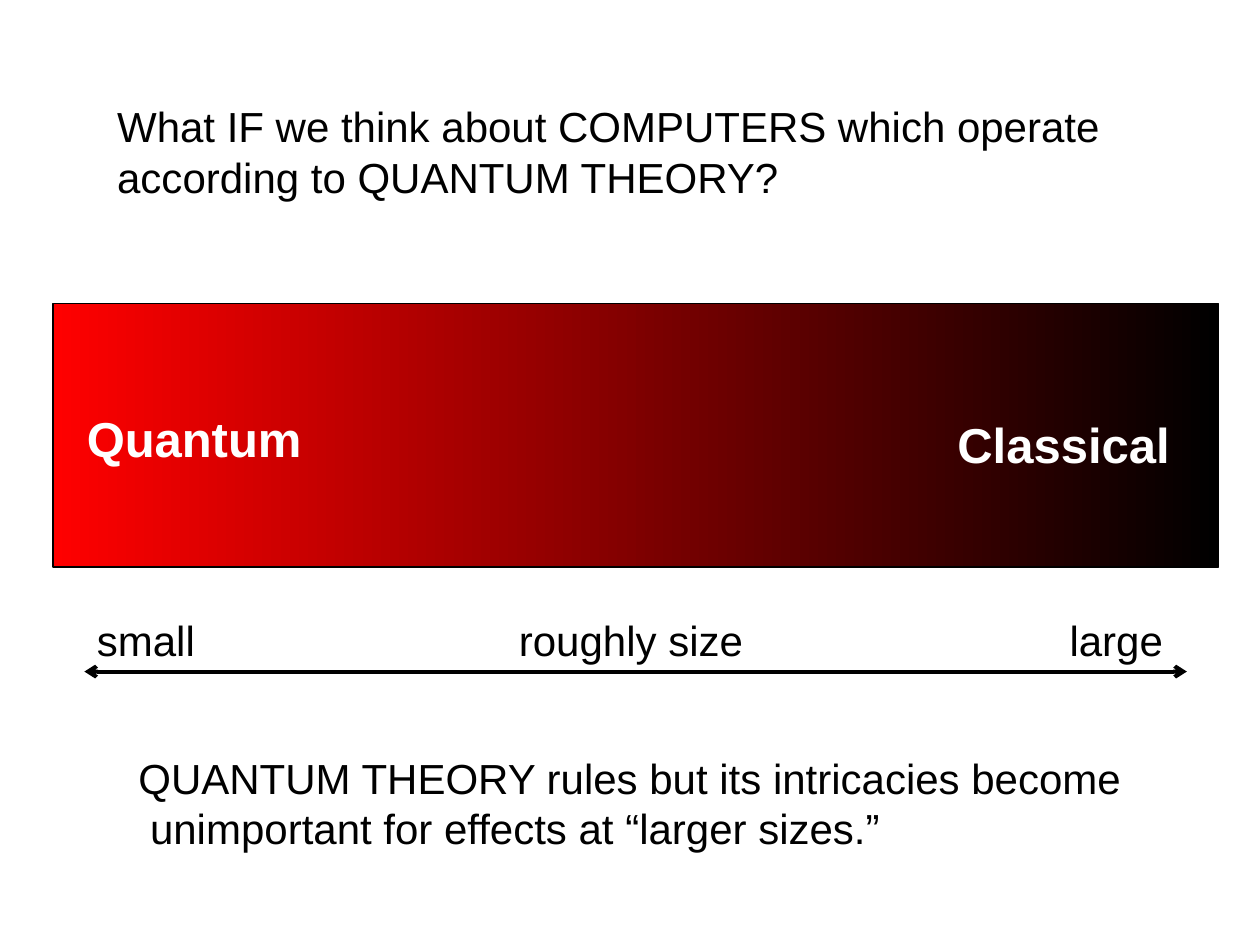
from pptx import Presentation
from pptx.dml.color import RGBColor
from pptx.enum.shapes import MSO_CONNECTOR, MSO_SHAPE
from pptx.enum.text import MSO_ANCHOR, MSO_AUTO_SIZE, PP_ALIGN
from pptx.oxml.ns import qn
from pptx.util import Inches, Pt
from lxml.etree import SubElement

BLACK = RGBColor(0x00, 0x00, 0x00)
RED = RGBColor(0xFF, 0x00, 0x00)
WHITE = RGBColor(0xFF, 0xFF, 0xFF)
FONT = "Arial"


def place(sp, left, top, width, height):
    sp.left, sp.top = Inches(left), Inches(top)
    sp.width, sp.height = Inches(width), Inches(height)


def write_lines(tf, lines, size=24, color=BLACK, bold=False):
    for i, line in enumerate(lines):
        p = tf.paragraphs[0] if i == 0 else tf.add_paragraph()
        p.alignment = PP_ALIGN.LEFT
        r = p.add_run()
        r.text = line
        r.font.name = FONT
        r.font.size = Pt(size)
        r.font.bold = bold
        r.font.color.rgb = color


def add_title(slide, text, box):
    sp = slide.shapes.title
    place(sp, *box)
    tf = sp.text_frame
    tf.word_wrap = True
    tf.auto_size = MSO_AUTO_SIZE.NONE
    tf.vertical_anchor = MSO_ANCHOR.TOP
    write_lines(tf, [text])


def add_label(slide, lines, box, **style):
    sp = slide.shapes.add_textbox(*map(Inches, box))
    tf = sp.text_frame
    tf.word_wrap = False
    tf.auto_size = MSO_AUTO_SIZE.SHAPE_TO_FIT_TEXT
    write_lines(tf, lines, **style)


def add_gradient_bar(slide, box, start, end):
    sp = slide.shapes.add_shape(MSO_SHAPE.RECTANGLE, *map(Inches, box))
    sp.shadow.inherit = False
    sp.fill.gradient()
    sp.fill.gradient_angle = 180
    for position, (stop, color) in enumerate(
            zip(sp.fill.gradient_stops, (start, end))):
        stop.position = position
        stop.color.rgb = color
    sp.line.color.rgb = BLACK
    sp.line.width = Pt(0.75)


def add_double_arrow(slide, left, right, y):
    line = slide.shapes.add_connector(
        MSO_CONNECTOR.STRAIGHT, Inches(left), Inches(y), Inches(right), Inches(y))
    line.line.color.rgb = BLACK
    line.line.width = Pt(2.25)
    # Arrowheads at both ends, no shadow
    sp_pr = line._element.spPr
    ln = sp_pr.find(qn("a:ln"))
    for end in ("a:headEnd", "a:tailEnd"):
        SubElement(ln, qn(end), type="arrow")
    SubElement(sp_pr, qn("a:effectLst"))


def main():
    prs = Presentation()
    prs.slide_width, prs.slide_height = Inches(10), Inches(7.5)
    slide = prs.slides.add_slide(prs.slide_layouts[5])

    # Opening question
    add_title(slide, "What IF we think about COMPUTERS which operate "
              "according to QUANTUM THEORY?", (0.83, 0.75, 8.17, 0.9))

    # Spectrum from quantum to classical, labels wide enough for one line
    add_gradient_bar(slide, (0.42, 2.41, 9.25, 2.09), BLACK, RED)
    for text, left, top in (("Quantum", 0.59, 3.19), ("Classical", 7.5, 3.24)):
        add_label(slide, [text], (left, top, 1.95, 0.57),
                  size=28, color=WHITE, bold=True)

    # Size scale
    for text, left, width in (("small", 0.67, 0.98),
                              ("roughly size", 4.02, 1.98),
                              ("large", 8.39, 0.94)):
        add_label(slide, [text], (left, 4.83, width, 0.5))
    add_double_arrow(slide, 0.67, 9.42, 5.33)

    # Conclusion
    add_label(slide, ["QUANTUM THEORY rules but its intricacies become",
                      " unimportant for effects at “larger sizes.”"],
              (1, 5.92, 8.01, 0.9))

    prs.save("out.pptx")


if __name__ == "__main__":
    main()
